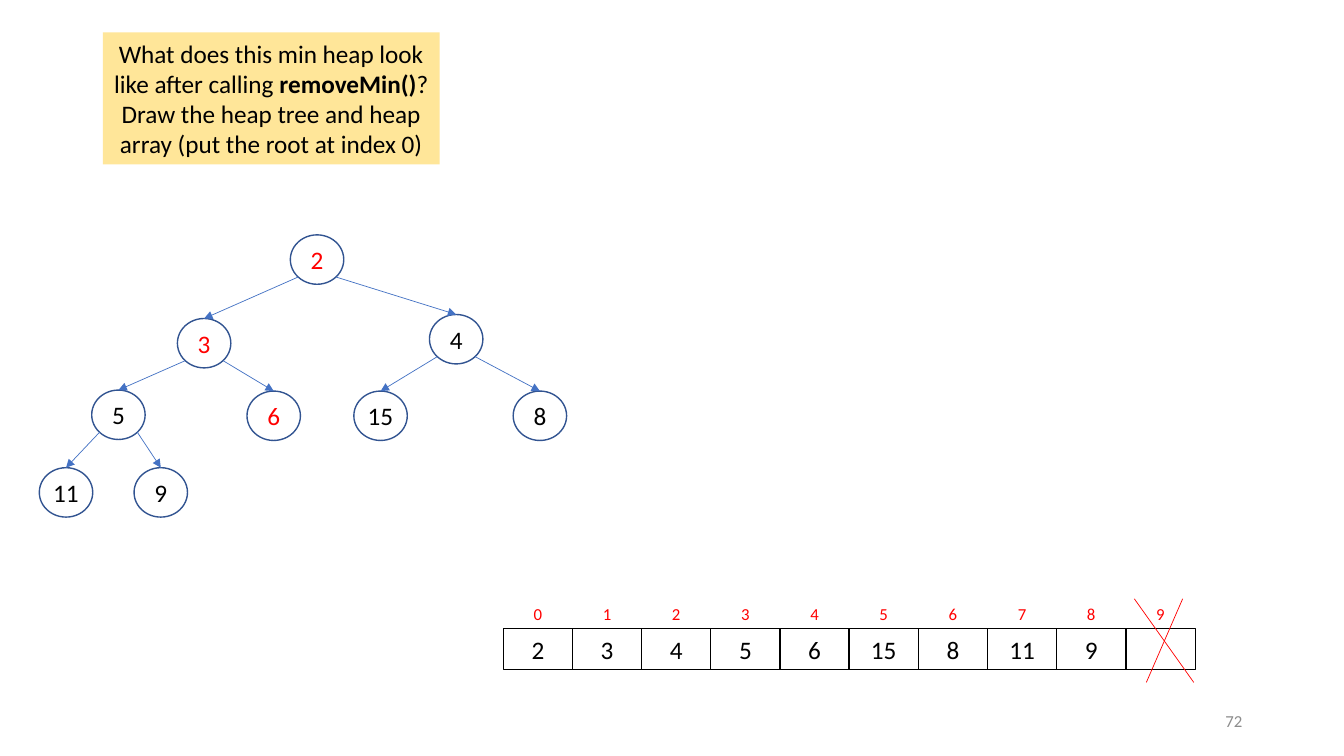
from dataclasses import dataclass
from math import sqrt

from lxml.etree import SubElement
from pptx import Presentation
from pptx.dml.color import RGBColor
from pptx.enum.shapes import MSO_CONNECTOR, MSO_SHAPE
from pptx.enum.text import MSO_ANCHOR, PP_ALIGN
from pptx.oxml.ns import qn
from pptx.util import Inches, Pt

# Content: the heap in array order, shared by the tree and the array
HEAP = [2, 3, 4, 5, 6, 15, 8, 11, 9]
NODE_CORNERS = [
    (2.88, 2.33),
    (1.76, 3.16), (4.26, 3.12),
    (0.91, 3.87), (2.45, 3.88), (3.51, 3.88), (5.09, 3.88),
    (0.39, 4.64), (1.33, 4.64),
]
CHANGED_NODES = {2, 3, 6}
ARRAY_LENGTH = 10
QUESTION = [
    ("What does this min heap look like after calling ", False),
    ("removeMin()", True),
    ("? Draw the heap tree and heap array (put the root at index 0)", False),
]
CROSS_STROKES = [((11.25, 5.94), (11.84, 6.77)), ((11.73, 5.94), (11.37, 6.77))]
SLIDE_NUMBER = "72"


@dataclass(frozen=True)
class Theme:
    font: str = "Calibri"
    ink: str = "000000"
    accent: str = "FF0000"
    question_fill: str = "FFE699"
    node_line: str = "325491"
    edge: str = "4472C4"
    muted: str = "8C8C8C"
    body: int = 18
    small: int = 12


THEME = Theme()
NODE_WIDTH, NODE_HEIGHT = 0.53, 0.49
ARRAY_LEFT, ARRAY_TOP, CELL_PITCH, CELL_WIDTH, CELL_HEIGHT = 4.99, 6.24, 0.686, 0.69, 0.4
INDEX_TOP, INDEX_HEIGHT = 5.94, 0.3

prs = Presentation()
prs.slide_width, prs.slide_height = Inches(13.33), Inches(7.5)
slide = prs.slides.add_slide(prs.slide_layouts[6])


def write(shape, runs, size=THEME.body, color=THEME.ink, align=PP_ALIGN.CENTER, wrap=True):
    frame = shape.text_frame
    frame.word_wrap = wrap
    frame.vertical_anchor = MSO_ANCHOR.MIDDLE
    paragraph = frame.paragraphs[0]
    paragraph.alignment = align
    for text, bold in runs:
        run = paragraph.add_run()
        run.text = text
        run.font.name, run.font.size, run.font.bold = THEME.font, Pt(size), bold
        run.font.color.rgb = RGBColor.from_string(color)


def add_box(preset, left, top, width, height, fill=None, line=None, weight=0.75):
    box = slide.shapes.add_shape(preset, *map(Inches, (left, top, width, height)))
    box.shadow.inherit = False
    if fill:
        box.fill.solid()
        box.fill.fore_color.rgb = RGBColor.from_string(fill)
    else:
        box.fill.background()
    if line:
        box.line.color.rgb = RGBColor.from_string(line)
        box.line.width = Pt(weight)
    else:
        box.line.fill.background()
    return box


def add_label(left, top, width, height, text, color, align=PP_ALIGN.CENTER):
    label = slide.shapes.add_textbox(*map(Inches, (left, top, width, height)))
    write(label, [(text, False)], THEME.small, color, align)


def add_line(start, end, color, arrow=False):
    line = slide.shapes.add_connector(MSO_CONNECTOR.STRAIGHT, *map(Inches, (*start, *end)))
    line.line.color.rgb = RGBColor.from_string(color)
    line.line.width = Pt(0.5)
    properties = line._element.spPr
    if arrow:
        SubElement(properties.find(qn("a:ln")), qn("a:tailEnd"), type="triangle")
    SubElement(properties, qn("a:effectLst"))
    return line


# Question
question = add_box(MSO_SHAPE.RECTANGLE, 1.02, 0.32, 3.34, 1.31, fill=THEME.question_fill)
write(question, QUESTION)

# Heap tree nodes
nodes = []
for value, (left, top) in zip(HEAP, NODE_CORNERS):
    node = add_box(MSO_SHAPE.OVAL, left, top, NODE_WIDTH, NODE_HEIGHT,
                   line=THEME.node_line, weight=1)
    write(node, [(str(value), False)], wrap=False,
          color=THEME.accent if value in CHANGED_NODES else THEME.ink)
    nodes.append(node)

# Heap tree edges: from the parent's lower left or right to the child's top
for child in range(1, len(HEAP)):
    parent_left, parent_top = NODE_CORNERS[(child - 1) // 2]
    side = -1 if child % 2 else 1
    start = (parent_left + NODE_WIDTH / 2 * (1 + side / sqrt(2)),
             parent_top + NODE_HEIGHT / 2 * (1 + 1 / sqrt(2)))
    child_left, child_top = NODE_CORNERS[child]
    edge = add_line(start, (child_left + NODE_WIDTH / 2, child_top), THEME.edge, arrow=True)
    edge.end_connect(nodes[child], 0)

# Heap array, with the index above each cell
for index in range(ARRAY_LENGTH):
    left = ARRAY_LEFT + index * CELL_PITCH
    cell = add_box(MSO_SHAPE.RECTANGLE, left, ARRAY_TOP, CELL_WIDTH, CELL_HEIGHT, line=THEME.ink)
    if index < len(HEAP):
        write(cell, [(str(HEAP[index]), False)])
    add_label(left, INDEX_TOP, CELL_WIDTH, INDEX_HEIGHT, str(index), THEME.accent)

# Cross over the freed last cell
for start, end in CROSS_STROKES:
    add_line(start, end, THEME.accent)

# Slide number
add_label(9.42, 6.95, 3, 0.4, SLIDE_NUMBER, THEME.muted, PP_ALIGN.RIGHT)

prs.save("out.pptx")
